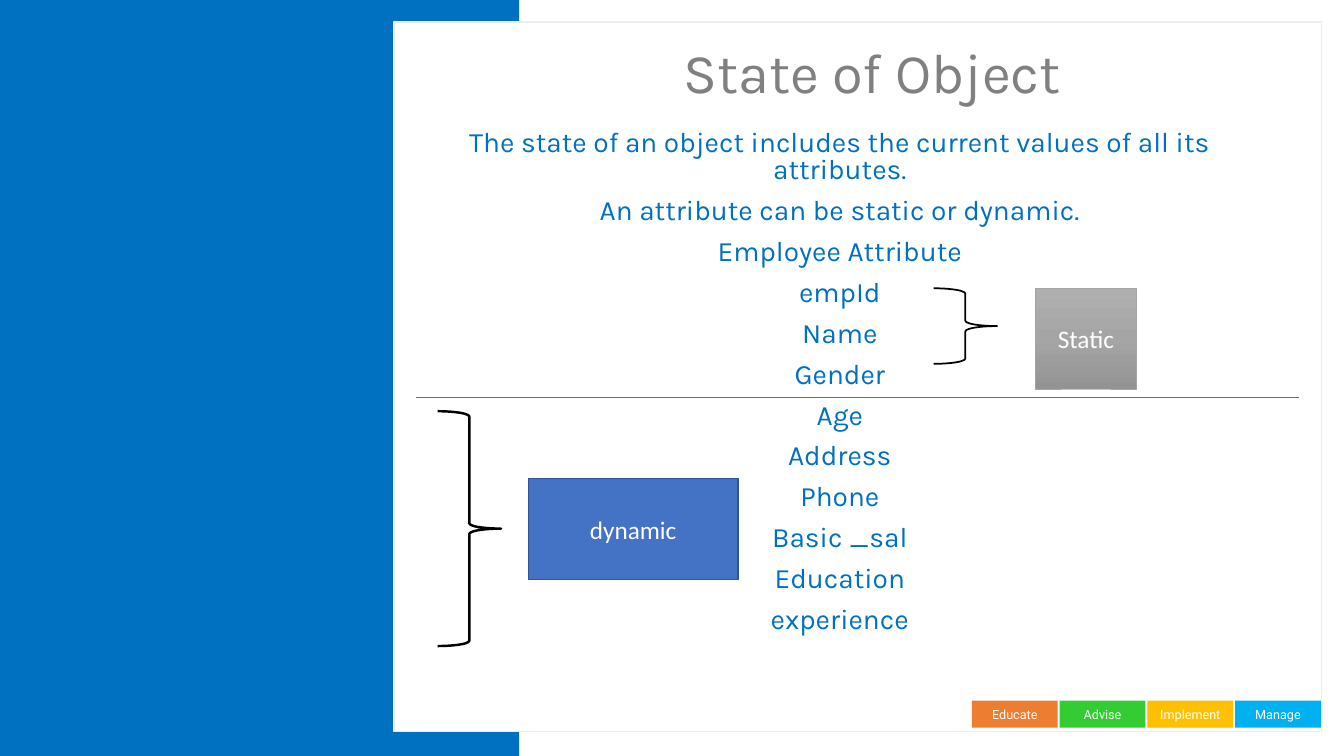
from copy import deepcopy
from dataclasses import dataclass

from pptx import Presentation
from pptx.dml.color import RGBColor
from pptx.enum.shapes import MSO_CONNECTOR, MSO_SHAPE as Shape
from pptx.enum.text import MSO_ANCHOR as Anchor, MSO_AUTO_SIZE as AutoSize, PP_ALIGN as Align
from pptx.oxml.ns import qn
from pptx.oxml.xmlchemy import OxmlElement
from pptx.util import Emu, Pt

PX = 9144  # 100 px to the inch
COLORS = {
    "white": "FFFFFF", "black": "000000", "panel": "0070C0", "border": "EDEDED",
    "title": "808080", "rule": "4472C4", "dynamic": "4472C4", "dynamic_line": "325491",
    "static_line": "A5A5A5", "static_top": "AFAFAF", "static_mid": "A5A5A5",
    "static_end": "939393", "orange": "ED7D31", "green": "33CC33",
    "yellow": "FFC000", "sky": "00B0F0",
}
BADGES = [("Educate", "orange"), ("Advise", "green"), ("Implement", "yellow"), ("Manage", "sky")]
BADGE_LEFT, BADGE_PITCH = 964, 87
LINES = [
    "The state of an object includes the current values of all its attributes.",
    "An attribute can be static or dynamic.",
    "Employee Attribute",
    "empId", "Name", "Gender",
    "Age", "Address", "Phone", "Basic _sal", "Education", "experience",
]


@dataclass
class Box:
    left: int
    top: int
    width: int
    height: int
    fill: str = ""
    line: str = ""
    weight: float = 1
    text: str = ""
    font: str = "Calibri"
    size: int = 18
    kind: Shape = Shape.RECTANGLE


BACKDROP = [
    Box(0, 0, 515, 750, "panel"),
    Box(391, 22, 920, 704, "white", "border"),
    *(Box(BADGE_LEFT + i * BADGE_PITCH, 695, 85, 27, color, text=name, font="Roboto", size=9)
      for i, (name, color) in enumerate(BADGES)),
]
BRACES = [
    Box(926, 286, 63, 75, line="black", weight=1.25, kind=Shape.RIGHT_BRACE),
    Box(434, 408, 63, 233, line="black", weight=1.75, kind=Shape.RIGHT_BRACE),
]
STATIC = Box(1027, 286, 100, 100, "static_mid", "static_line", 0.5, "Static")
DYNAMIC = Box(524, 475, 208, 100, "dynamic", "dynamic_line", 1, "dynamic")


def px(n: int) -> Emu:
    return Emu(n * PX)


def rgb(name: str) -> RGBColor:
    return RGBColor.from_string(COLORS[name])


def style(p, font: str, size: int, color: str) -> None:
    p.alignment = Align.CENTER
    for r in p.runs:
        r.font.name, r.font.size = font, Pt(size)
        r.font.color.rgb = rgb(color)


def draw(s, box: Box):
    sp = s.shapes.add_shape(box.kind, px(box.left), px(box.top), px(box.width), px(box.height))
    sp.shadow.inherit = False
    if box.fill:
        sp.fill.solid()
        sp.fill.fore_color.rgb = rgb(box.fill)
    else:
        sp.fill.background()
    if box.line:
        sp.line.color.rgb = rgb(box.line)
        sp.line.width = Pt(box.weight)
    else:
        sp.line.fill.background()
    if box.text:
        tf = sp.text_frame
        tf.text = box.text
        tf.vertical_anchor = Anchor.MIDDLE
        style(tf.paragraphs[0], box.font, box.size, "white")
    return sp


def shade(sp, names: list[str]) -> None:
    """Fill with evenly spaced colours from top to bottom."""
    sp.fill.gradient()
    sp.fill.gradient_angle = 270
    stops = sp.fill._fill._gradFill.find(qn("a:gsLst"))
    while len(stops) < len(names):
        stops.append(deepcopy(stops[0]))
    for i, (stop, name) in enumerate(zip(sp.fill.gradient_stops, names)):
        stop.position = i / (len(names) - 1)
        stop.color.rgb = rgb(name)


def draw_rule(s) -> None:
    rule = s.shapes.add_connector(MSO_CONNECTOR.STRAIGHT, px(413), px(394), px(1288), px(394))
    rule.line.color.rgb = rgb("rule")
    rule.line.width = Pt(0.5)
    rule._element.spPr.append(OxmlElement("a:effectLst"))


def place(s, sp, left: int, top: int, width: int, height: int):
    """Move a placeholder into position, in front of what is drawn so far."""
    s.shapes._spTree.append(sp._element)
    sp.left, sp.top, sp.width, sp.height = px(left), px(top), px(width), px(height)
    tf = sp.text_frame
    tf.word_wrap = True
    tf.auto_size = AutoSize.NONE
    tf.vertical_anchor = Anchor.MIDDLE
    return tf


def fill_title(s) -> None:
    tf = place(s, s.shapes.title, 653, 0, 424, 149)
    tf.text = "State of Object"
    p = tf.paragraphs[0]
    p.line_spacing = 0.9
    style(p, "Karla", 40, "title")


def fill_body(s) -> None:
    tf = place(s, s.placeholders[1], 408, 154, 850, 533)
    tf.margin_bottom = px(86)
    tf.text = "\n".join(LINES)
    for i, p in enumerate(tf.paragraphs):
        pPr = p._p.get_or_add_pPr()
        pPr.set("marL", "0")
        pPr.set("indent", "0")
        pPr.append(OxmlElement("a:buNone"))
        p.line_spacing = 0.8
        p.space_before = Pt(10 if i else 0)
        style(p, "Karla", 20, "panel")


def main() -> None:
    prs = Presentation()
    prs.slide_width, prs.slide_height = px(1333), px(750)
    s = prs.slides.add_slide(prs.slide_layouts[1])
    for box in BACKDROP:
        draw(s, box)
    draw_rule(s)
    fill_title(s)
    fill_body(s)
    for box in BRACES:
        draw(s, box)
    shade(draw(s, STATIC), ["static_top", "static_mid", "static_end"])
    draw(s, DYNAMIC)
    prs.save("out.pptx")


if __name__ == "__main__":
    main()
